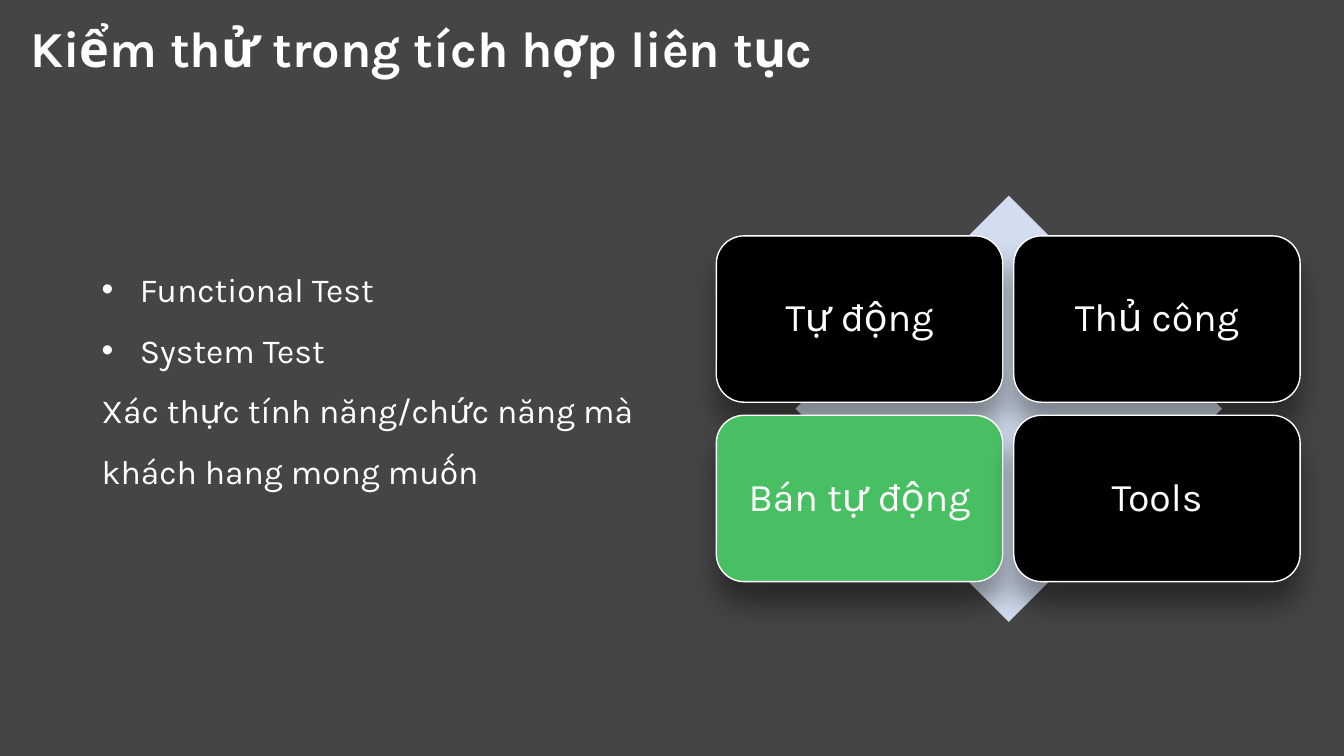
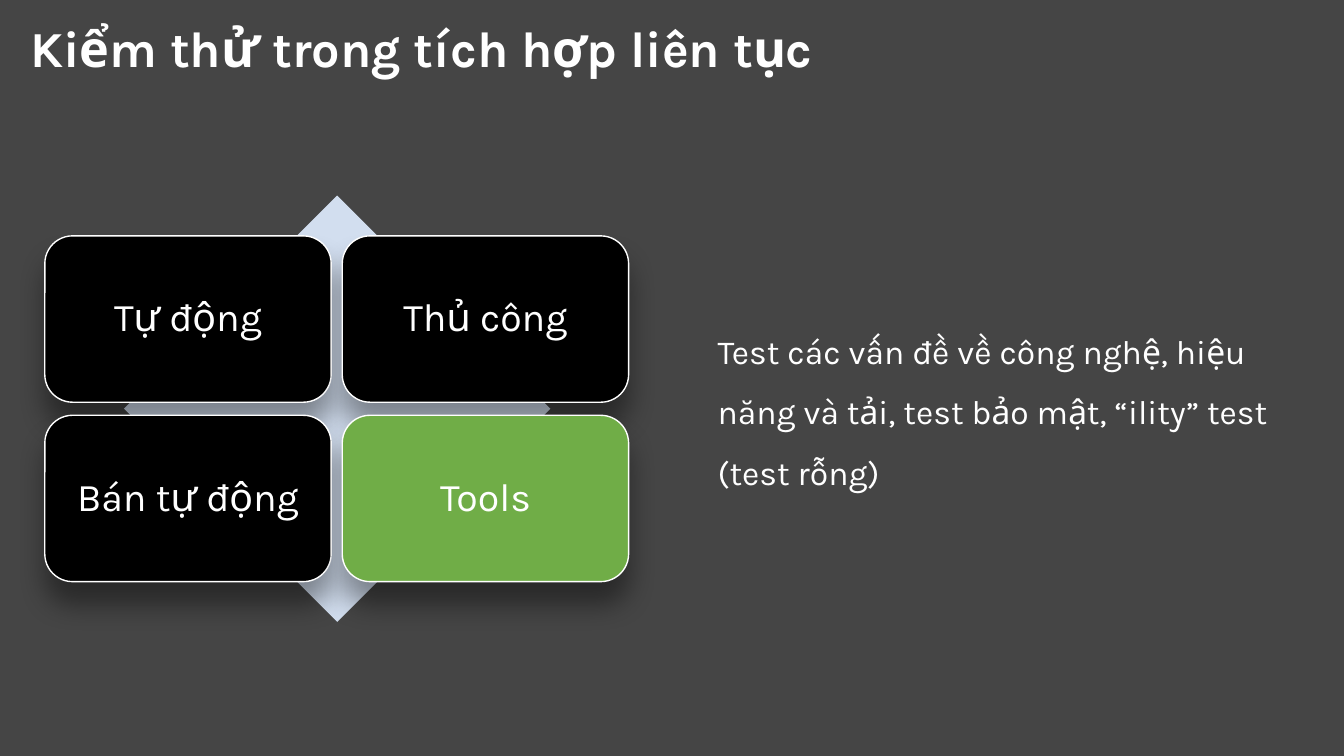
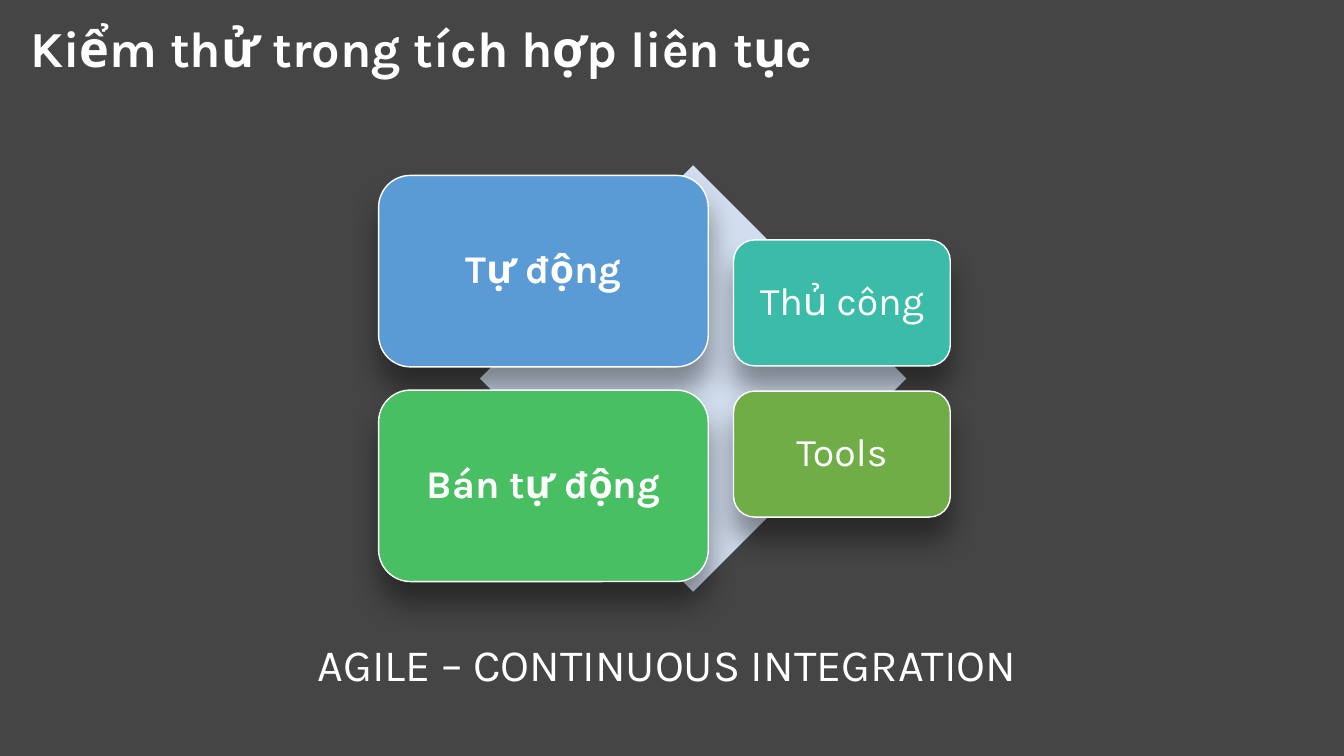
from lxml import etree
from pptx import Presentation
from pptx.dml.color import RGBColor
from pptx.enum.shapes import MSO_SHAPE as Shape
from pptx.enum.text import MSO_ANCHOR as Anchor, MSO_AUTO_SIZE as AutoSize, PP_ALIGN as Align
from pptx.oxml.ns import qn
from pptx.util import Inches, Pt

COLORS = {
    "background": "454545", "text": "FFFFFF", "diamond": "D2DEEF", "muted": "000000",
    "blue": "5B9BD5", "teal": "3ABCA9", "green": "49BF64", "olive": "70AD47",
}
FONT = "Karla"
SLIDE_WIDTH, SLIDE_HEIGHT = 13.33, 7.5
DIAMOND_SIZE = 4.23
TITLE = "Kiểm thử trong tích hợp liên tục"
CARD_LABELS = ["Tự động", "Thủ công", "Bán tự động", "Tools"]

# Card columns: width, height, gap between the two rows, inner edge from the diamond centre
EVEN_COLUMNS = [(2.84, 1.65, 0.13, -0.06), (2.84, 1.65, 0.13, 0.05)]
LEFT_HEAVY_COLUMNS = [(3.27, 1.9, 0.23, 0.15), (2.15, 1.25, 0.25, 0.4)]

BODY = {"size": 24, "spacing": 1.5, "insets": (0.1, 0, 0.1, 0.2)}
SLIDES = [
    {
        "diamond": (7.89, 1.94), "columns": EVEN_COLUMNS, "bold": [],
        "fills": ["muted", "muted", "green", "muted"],
        "box": (0.91, 2.47, 5.76, 2.55), "style": BODY,
        "lines": [("Functional Test", True), ("System Test", True),
                  ("Xác thực tính năng/chức năng mà khách hang mong muốn", False)],
    },
    {
        "diamond": (1.23, 1.94), "columns": EVEN_COLUMNS, "bold": [],
        "fills": ["muted", "muted", "muted", "olive"],
        "box": (7.02, 3.08, 6.07, 1.34), "style": BODY,
        "lines": [("Test các vấn đề về công nghệ, hiệu năng và tải, "
                   "test bảo mật, “ility” test (test rỗng)", False)],
    },
    {
        "diamond": (4.76, 1.64), "columns": LEFT_HEAVY_COLUMNS,
        "bold": ["Tự động", "Bán tự động"],
        "fills": ["blue", "teal", "green", "olive"],
        "box": (3.01, 6.27, 7.22, 0.64), "style": {"size": 32, "align": Align.CENTER},
        "lines": [("AGILE – CONTINUOUS INTEGRATION", False)],
    },
]


def color(name):
    return RGBColor.from_string(COLORS[name])


def add_bullet(paragraph):
    properties = paragraph._p.get_or_add_pPr()
    properties.set("marL", str(Inches(0.38)))
    properties.set("indent", str(-Inches(0.38)))
    etree.SubElement(properties, qn("a:buFont"), typeface="Arial")
    etree.SubElement(properties, qn("a:buChar"), char="•")


def write_text(shape, lines, size, bold=False, align=Align.LEFT, spacing=1.0,
               insets=(0.1, 0.05, 0.1, 0.05), anchor=Anchor.TOP):
    """Fill a shape with (text, bulleted) lines in one style."""
    frame = shape.text_frame
    frame.word_wrap = True
    frame.vertical_anchor = anchor
    (frame.margin_left, frame.margin_top,
     frame.margin_right, frame.margin_bottom) = map(Inches, insets)
    for index, (text, bulleted) in enumerate(lines):
        paragraph = frame.add_paragraph() if index else frame.paragraphs[0]
        paragraph.alignment = align
        paragraph.line_spacing = spacing
        if bulleted:
            add_bullet(paragraph)
        run = paragraph.add_run()
        run.text = text
        run.font.name = FONT
        run.font.size = Pt(size)
        run.font.bold = bold
        run.font.color.rgb = color("text")


def add_text_box(slide, box, lines, **style):
    text_box = slide.shapes.add_textbox(*map(Inches, box))
    write_text(text_box, lines, **style)
    return text_box


def add_filled_shape(slide, kind, box, fill):
    shape = slide.shapes.add_shape(kind, *map(Inches, box))
    shape.shadow.inherit = False
    shape.fill.solid()
    shape.fill.fore_color.rgb = color(fill)
    shape.line.fill.background()
    return shape


def add_drop_shadow(shape):
    effects = shape._element.spPr.find(qn("a:effectLst"))
    shadow = etree.SubElement(effects, qn("a:outerShdw"), blurRad=str(Pt(20)),
                              dist=str(Pt(16)), dir="5400000", rotWithShape="0")
    tint = etree.SubElement(shadow, qn("a:srgbClr"), val="000000")
    etree.SubElement(tint, qn("a:alpha"), val="40000")


def add_card(slide, box, label, fill, bold):
    card = add_filled_shape(slide, Shape.ROUNDED_RECTANGLE, box, fill)
    card.line.color.rgb = color("text")
    card.line.width = Pt(1)
    add_drop_shadow(card)
    write_text(card, [(label, False)], 28, bold=bold, align=Align.CENTER, spacing=0.9,
               insets=(0.12,) * 4, anchor=Anchor.MIDDLE)


def add_matrix(slide, content):
    """Draw the diamond and the two-by-two cards around its centre."""
    left, top = content["diamond"]
    add_filled_shape(slide, Shape.DIAMOND, (left, top, DIAMOND_SIZE, DIAMOND_SIZE), "diamond")
    center_x, center_y = left + DIAMOND_SIZE / 2, top + DIAMOND_SIZE / 2
    for index, (label, fill) in enumerate(zip(CARD_LABELS, content["fills"])):
        row, column = divmod(index, 2)
        width, height, gap, edge = content["columns"][column]
        x = center_x + edge - (0 if column else width)
        y = center_y + (gap / 2 if row else -gap / 2 - height)
        add_card(slide, (x, y, width, height), label, fill, label in content["bold"])


def build_slide(presentation, content):
    slide = presentation.slides.add_slide(presentation.slide_layouts[6])
    slide.background.fill.solid()
    slide.background.fill.fore_color.rgb = color("background")
    add_text_box(slide, (0, 0, SLIDE_WIDTH, 1.01), [(TITLE, False)], size=36, bold=True,
                 spacing=0.9, insets=(0.3, 0.05, 0.3, 0.05), anchor=Anchor.MIDDLE)
    add_matrix(slide, content)
    text_box = add_text_box(slide, content["box"], content["lines"], **content["style"])
    text_box.text_frame.auto_size = AutoSize.SHAPE_TO_FIT_TEXT


def main():
    presentation = Presentation()
    presentation.slide_width = Inches(SLIDE_WIDTH)
    presentation.slide_height = Inches(SLIDE_HEIGHT)
    for content in SLIDES:
        build_slide(presentation, content)
    presentation.save("out.pptx")


if __name__ == "__main__":
    main()
